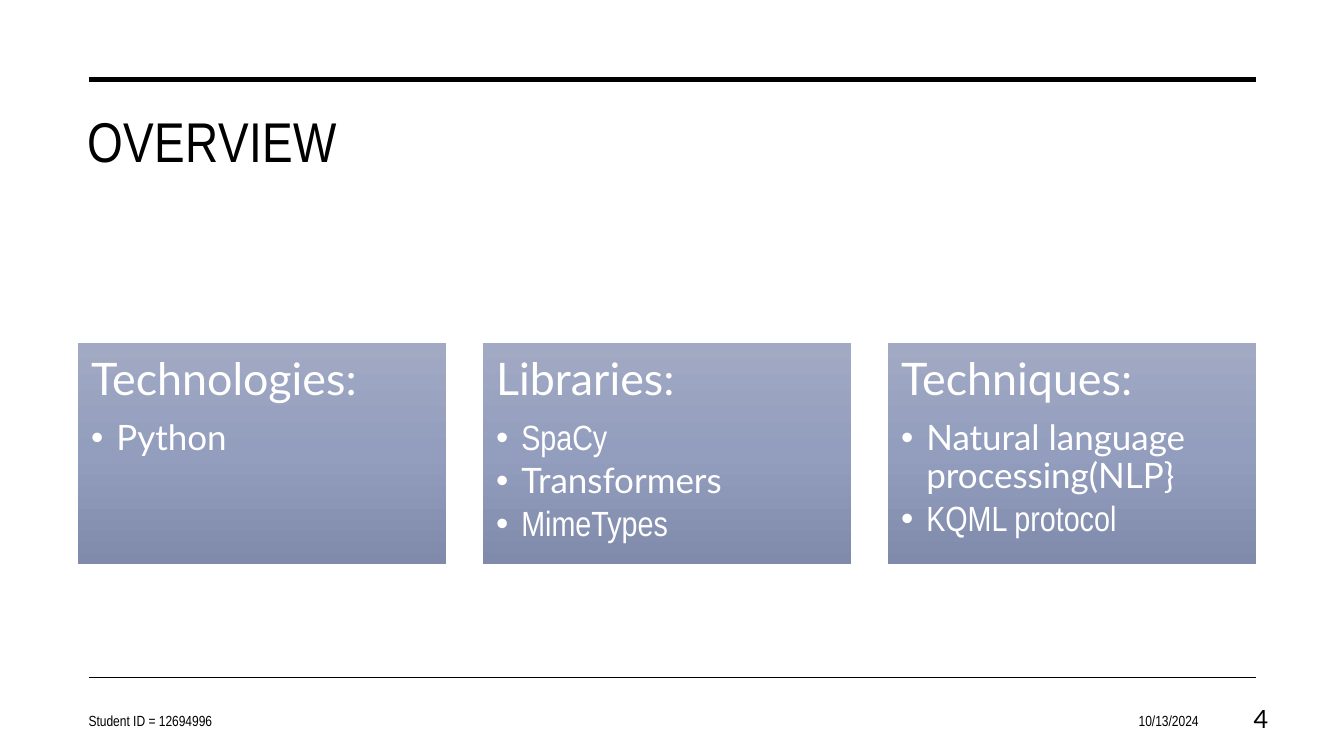
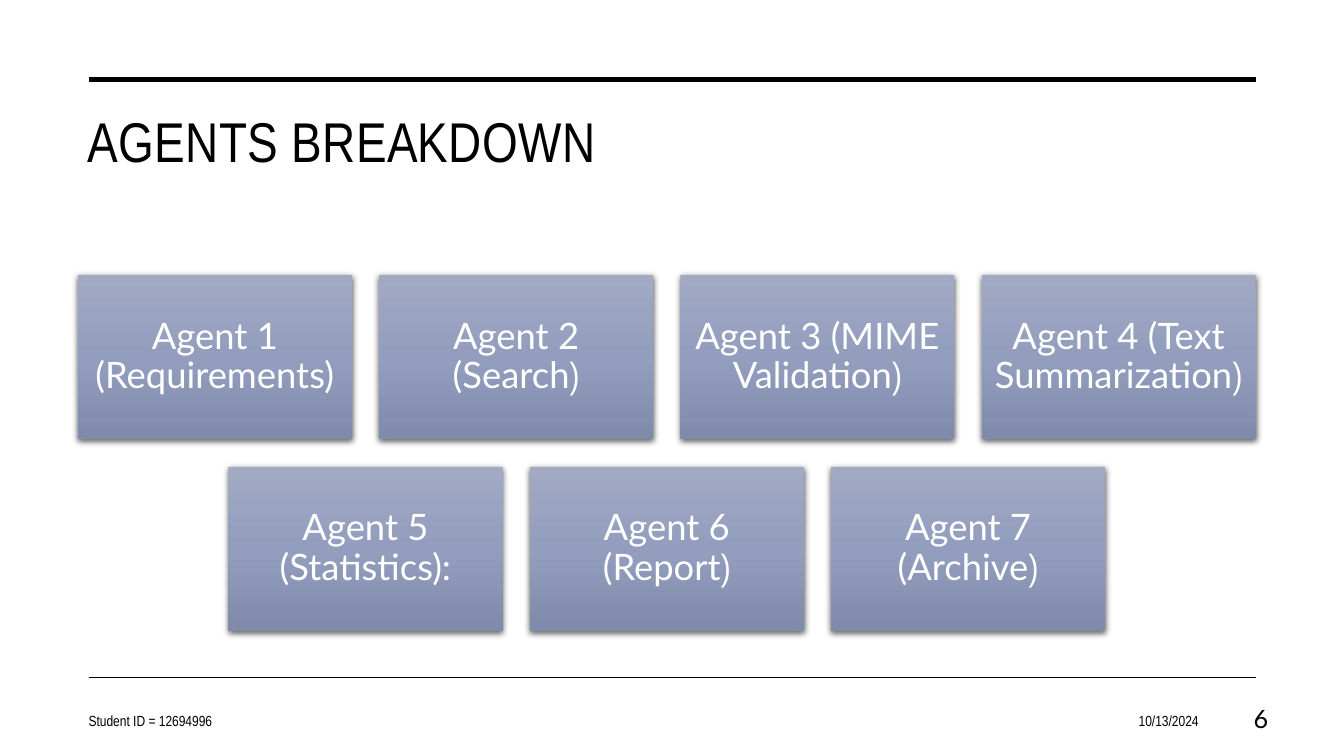
from copy import deepcopy

from lxml import etree
from pptx import Presentation
from pptx.dml.color import RGBColor
from pptx.enum.shapes import MSO_CONNECTOR, MSO_SHAPE
from pptx.enum.text import MSO_ANCHOR, MSO_AUTO_SIZE, PP_ALIGN
from pptx.oxml.ns import qn
from pptx.util import Pt

LEFT, CENTER, RIGHT = PP_ALIGN.LEFT, PP_ALIGN.CENTER, PP_ALIGN.RIGHT
TOP, MIDDLE = MSO_ANCHOR.TOP, MSO_ANCHOR.MIDDLE
NARROW, LATO = "Arial Narrow", "Lato"
BLACK, WHITE = "000000", "FFFFFF"
CARD_GRADIENT = [(0, "A1A9C3"), (0.5, "939DBD"), (1, "808AAA")]

TITLE_ONLY = 5
CONTENT_CENTER = 476.3
RULE_LEFT, RULE_RIGHT = 63.4, 897.1

TOPICS = [
    ("Technologies:", [("Python", LATO)]),
    ("Libraries:", [("SpaCy", NARROW), ("Transformers", LATO), ("MimeTypes", NARROW)]),
    ("Techniques:", [("Natural language processing(NLP}", LATO), ("KQML protocol", NARROW)]),
]
# Each agent label: text in Lato, then an ending in Arial Narrow
AGENT_ROWS = [
    [("Agent 1 (Requirements)", ""), ("Agent 2 (Search", ")"),
     ("Agent 3 (MIME Validation", ")"), ("Agent 4 (Text Summarization", ")")],
    [("Agent 5 (Statistics):", ""), ("Agent 6 (Report", ")"), ("Agent 7 (Archive", ")")],
]


def color(hex_code):
    return RGBColor.from_string(hex_code)


def write(paragraph, text, font=LATO, size=18, ink=BLACK, align=LEFT,
          line=1.0, after=0, tracking=0):
    """Append a run to the paragraph and set its format."""
    paragraph.alignment = align
    paragraph.line_spacing = line
    paragraph.space_before = Pt(0)
    paragraph.space_after = Pt(after)
    run = paragraph.add_run()
    run.text = text
    run.font.name = font
    run.font.size = Pt(size)
    run.font.color.rgb = color(ink)
    if tracking:
        run.font._element.set("spc", str(round(tracking * 100)))


def set_frame(shape, anchor, inset=None):
    frame = shape.text_frame
    frame.word_wrap = True
    frame.auto_size = MSO_AUTO_SIZE.NONE
    frame.vertical_anchor = anchor
    if inset is not None:
        frame.margin_left = frame.margin_right = Pt(inset)
        frame.margin_top = frame.margin_bottom = Pt(inset)
    return frame


def add_rule(slide, y, weight):
    rule = slide.shapes.add_connector(
        MSO_CONNECTOR.STRAIGHT, Pt(RULE_LEFT), Pt(y), Pt(RULE_RIGHT), Pt(y))
    rule.line.color.rgb = color(BLACK)
    rule.line.width = Pt(weight)
    etree.SubElement(rule._element.spPr, qn("a:effectLst"))


def add_footer(slide, text, left, width, **style):
    box = slide.shapes.add_textbox(Pt(left), Pt(500.4), Pt(width), Pt(28.8))
    write(set_frame(box, MIDDLE).paragraphs[0], text, **style)


def add_slide(deck, heading, number):
    """Add a slide with the shared title, rules and footers."""
    slide = deck.slides.add_slide(deck.slide_layouts[TITLE_ONLY])
    add_rule(slide, 56.9, 3.5)
    add_rule(slide, 483.8, 1)
    title = slide.shapes.title
    title.left, title.top, title.width, title.height = Pt(55.4), Pt(72.7), Pt(841.7), Pt(108)
    write(set_frame(title, TOP).paragraphs[0], heading, font=NARROW, size=40, tracking=0.3)
    add_footer(slide, "Student ID = 12694996", 56.2, 357, font=NARROW, size=10.5)
    add_footer(slide, "10/13/2024", 658.8, 204.5, font=NARROW, size=10.5, align=RIGHT)
    add_footer(slide, str(number), 859.7, 53.3, align=RIGHT, line=0.9)
    return slide


def fill_gradient(shape):
    fill = shape.fill
    fill.gradient()
    fill.gradient_angle = 270
    stop_list = shape._element.spPr.find(".//" + qn("a:gsLst"))
    stop_list.append(deepcopy(stop_list[0]))
    for stop, (position, hex_code) in zip(fill.gradient_stops, CARD_GRADIENT):
        stop.position = position
        stop.color.rgb = color(hex_code)


def add_shadow(shape):
    effects = shape._element.spPr.find(qn("a:effectLst"))
    shadow = etree.SubElement(effects, qn("a:outerShdw"), blurRad=str(Pt(4.5)),
                              dist=str(Pt(1.5)), dir="5400000", algn="ctr", rotWithShape="0")
    ink = etree.SubElement(shadow, qn("a:srgbClr"), val=BLACK)
    etree.SubElement(ink, qn("a:alpha"), val="63000")


def add_card(slide, left, top, width, height):
    card = slide.shapes.add_shape(
        MSO_SHAPE.RECTANGLE, Pt(left), Pt(top), Pt(width), Pt(height))
    card.shadow.inherit = False
    card.line.fill.background()
    fill_gradient(card)
    return card


def row_lefts(count, width, gap):
    """Left edges of a row of equal cards centred on the content."""
    start = CONTENT_CENTER - (count * width + (count - 1) * gap) / 2
    return [start + i * (width + gap) for i in range(count)]


def set_bullet(paragraph, indent):
    properties = paragraph._p.get_or_add_pPr()
    properties.set("marL", str(Pt(indent)))
    properties.set("indent", str(-Pt(indent)))
    etree.SubElement(properties, qn("a:buFont"), typeface="Arial")
    etree.SubElement(properties, qn("a:buChar"), char="•")


def add_topics(slide):
    width, gap = 263, 26.3
    for left, (heading, items) in zip(row_lefts(len(TOPICS), width, gap), TOPICS):
        card = add_card(slide, left, 244.9, width, 157.8)
        frame = set_frame(card, TOP, inset=9.6)
        write(frame.paragraphs[0], heading, size=32, ink=WHITE, line=0.9, after=11.2)
        for item, font in items:
            paragraph = frame.add_paragraph()
            set_bullet(paragraph, 18)
            write(paragraph, item, font=font, size=25, ink=WHITE, line=0.9, after=3.75)


def add_agents(slide):
    width, height, gap = 195.8, 117.4, 19.4
    for row, agents in enumerate(AGENT_ROWS):
        top = 196.5 + row * (height + gap)
        for left, (label, ending) in zip(row_lefts(len(agents), width, gap), agents):
            card = add_card(slide, left, top, width, height)
            add_shadow(card)
            paragraph = set_frame(card, MIDDLE, inset=7.8).paragraphs[0]
            style = dict(size=26, ink=WHITE, align=CENTER, line=0.9)
            write(paragraph, label, **style)
            if ending:
                write(paragraph, ending, font=NARROW, **style)


def main():
    deck = Presentation()
    deck.slide_width, deck.slide_height = Pt(960), Pt(540)
    add_topics(add_slide(deck, "OVERVIEW", 4))
    add_agents(add_slide(deck, "AGENTS BREAKDOWN", 6))
    deck.save("out.pptx")


if __name__ == "__main__":
    main()
